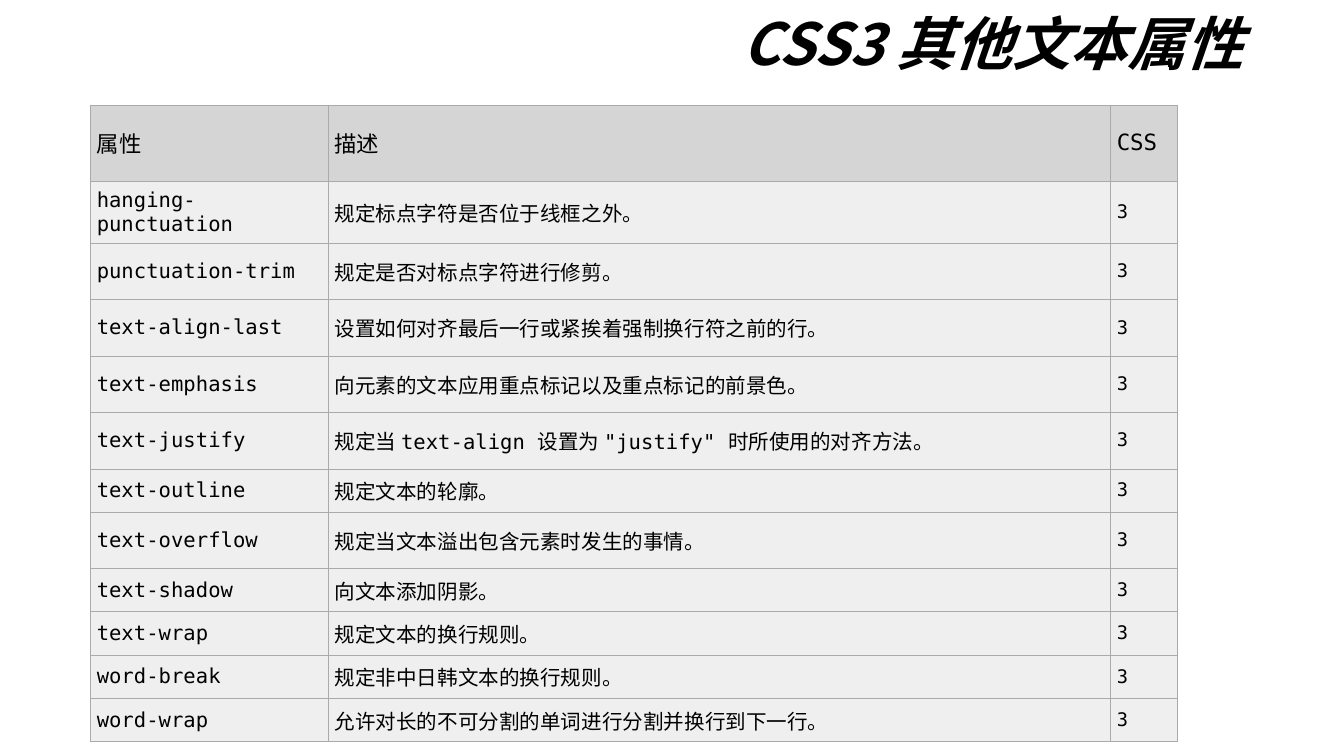
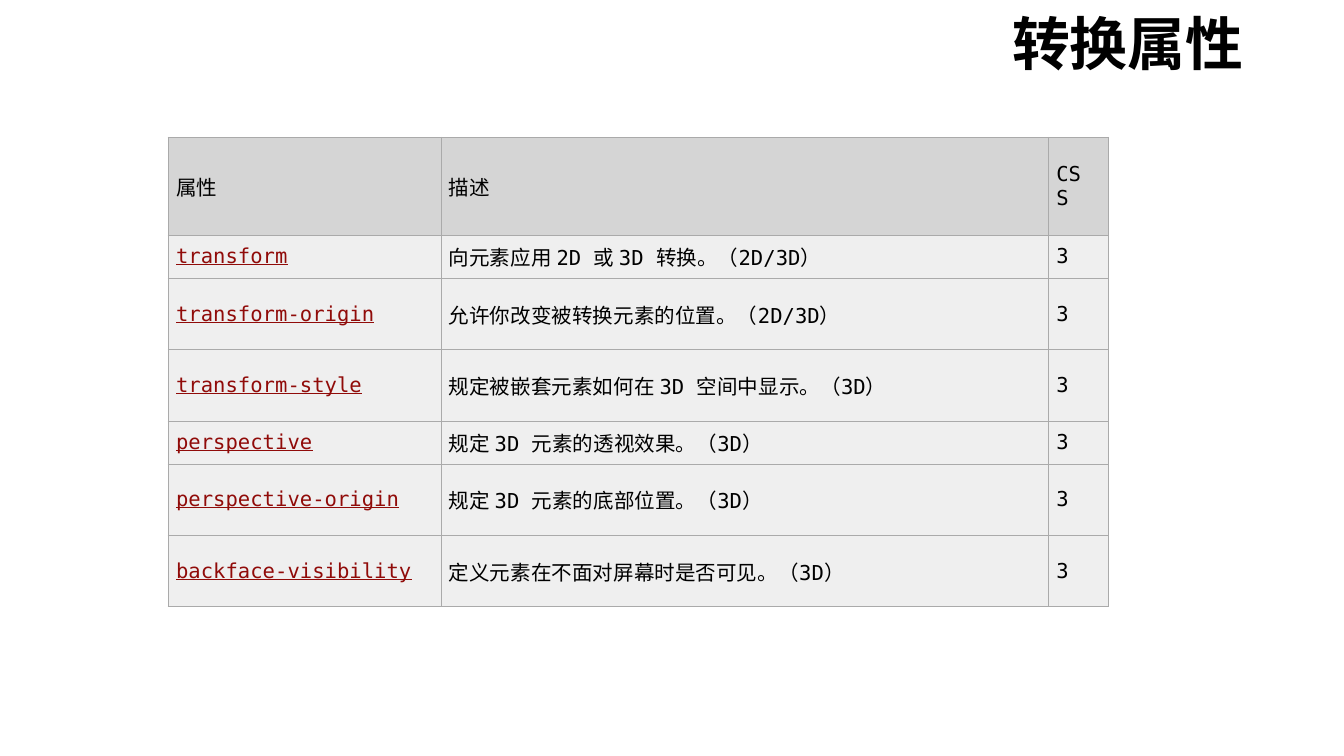
"""Build two slides that list CSS3 text and transform properties in tables."""
import pptx
import pptx.dml.color
import pptx.enum.text
import pptx.oxml
import pptx.oxml.ns
import pptx.util

Inches = pptx.util.Inches
Pt = pptx.util.Pt
COLORS = {"text": "000000", "link": "900B09", "header": "D5D5D5", "body": "EFEFEF", "border": "AAAAAA"}
CJK_FONT = "Noto Sans CJK JP"
CODE_FONT = "DejaVu Sans Mono"
HEADER = ("属性", "描述", "CSS")
BORDER_XML = (
    '<a:{side} %s w="{width}"><a:solidFill><a:srgbClr val="{color}"/></a:solidFill></a:{side}>'
    % pptx.oxml.ns.nsdecls("a")
)

PAGES = [
    {
        "title": "CSS3 其他文本属性",
        "italic": True,
        "position": (0.67, 0.78),
        "columns": (1.77, 5.82, 0.5),
        "heights": (0.57, 0.46, 0.42, 0.42, 0.42, 0.42, 0.27, 0.42, 0.27, 0.27, 0.27, 0.27),
        "margins": (0.05, 0.11),
        "header_size": 12,
        "sizes": (11, 11, 10),
        "links": False,
        "properties": [
            ("hanging-punctuation", "规定标点字符是否位于线框之外。"),
            ("punctuation-trim", "规定是否对标点字符进行修剪。"),
            ("text-align-last", "设置如何对齐最后一行或紧挨着强制换行符之前的行。"),
            ("text-emphasis", "向元素的文本应用重点标记以及重点标记的前景色。"),
            ("text-justify", '规定当 text-align 设置为 "justify" 时所使用的对齐方法。'),
            ("text-outline", "规定文本的轮廓。"),
            ("text-overflow", "规定当文本溢出包含元素时发生的事情。"),
            ("text-shadow", "向文本添加阴影。"),
            ("text-wrap", "规定文本的换行规则。"),
            ("word-break", "规定非中日韩文本的换行规则。"),
            ("word-wrap", "允许对长的不可分割的单词进行分割并换行到下一行。"),
        ],
    },
    {
        "title": "转换属性",
        "italic": False,
        "position": (1.25, 1.02),
        "columns": (2.03, 4.52, 0.45),
        "heights": (0.73, 0.32, 0.53, 0.53, 0.32, 0.53, 0.53),
        "margins": (0.06, 0.14),
        "header_size": 11,
        "sizes": (11, 11, 11),
        "links": True,
        "properties": [
            ("transform", "向元素应用 2D 或 3D 转换。（2D/3D）"),
            ("transform-origin", "允许你改变被转换元素的位置。（2D/3D）"),
            ("transform-style", "规定被嵌套元素如何在 3D 空间中显示。（3D）"),
            ("perspective", "规定 3D 元素的透视效果。（3D）"),
            ("perspective-origin", "规定 3D 元素的底部位置。（3D）"),
            ("backface-visibility", "定义元素在不面对屏幕时是否可见。（3D）"),
        ],
    },
]


def style_paragraph(paragraph, font_name, size, color):
    font = paragraph.font
    font.size = Pt(size)
    font.name = font_name
    font.color.rgb = pptx.dml.color.RGBColor.from_string(COLORS[color])
    east_asian = pptx.oxml.parse_xml(f'<a:ea {pptx.oxml.ns.nsdecls("a")} typeface="{CJK_FONT}"/>')
    paragraph._p.pPr.find(pptx.oxml.ns.qn("a:defRPr")).append(east_asian)


def style_cell(cell, fill, margins):
    cell.vertical_anchor = pptx.enum.text.MSO_ANCHOR.MIDDLE
    cell.margin_left, cell.margin_right = (Inches(margin) for margin in margins)
    cell.margin_top = cell.margin_bottom = Inches(0.05)
    properties = cell._tc.get_or_add_tcPr()
    for side in ("lnL", "lnR", "lnT", "lnB"):
        border = BORDER_XML.format(side=side, width=Pt(0.34), color=COLORS["border"])
        properties.append(pptx.oxml.parse_xml(border))
    cell.fill.solid()
    cell.fill.fore_color.rgb = pptx.dml.color.RGBColor.from_string(COLORS[fill])


deck = pptx.Presentation()
deck.slide_width = Inches(10)
deck.slide_height = deck.slide_width * 9 // 16

for page in PAGES:
    slide = deck.slides.add_slide(deck.slide_layouts[5])
    title = slide.shapes.title
    title.left, title.top, title.width, title.height = (Inches(v) for v in (1.38, 0, 7.94, 0.69))
    frame = title.text_frame
    frame.text = page["title"]
    frame.word_wrap = True
    frame.auto_size = pptx.enum.text.MSO_AUTO_SIZE.NONE
    frame.vertical_anchor = pptx.enum.text.MSO_ANCHOR.MIDDLE
    frame.margin_left = frame.margin_right = Inches(0.07)
    frame.margin_top = frame.margin_bottom = Inches(0.04)
    heading = frame.paragraphs[0]
    heading.alignment = pptx.enum.text.PP_ALIGN.RIGHT
    heading.line_spacing = 0.9
    style_paragraph(heading, CJK_FONT, 31, "text")
    heading.font.bold = True
    heading.font.italic = page["italic"]

    rows = [HEADER] + [(name, description, "3") for name, description in page["properties"]]
    left, top = page["position"]
    table = slide.shapes.add_table(
        len(rows), len(HEADER), Inches(left), Inches(top),
        Inches(sum(page["columns"])), Inches(sum(page["heights"])),
    ).table
    table.first_row = table.horz_banding = False
    for column, width in zip(table.columns, page["columns"]):
        column.width = Inches(width)
    for row, height in zip(table.rows, page["heights"]):
        row.height = Inches(height)

    for row_index, row_texts in enumerate(rows):
        is_header = row_index == 0
        for column_index, text in enumerate(row_texts):
            cell = table.cell(row_index, column_index)
            cell.text = text
            style_cell(cell, "header" if is_header else "body", page["margins"])
            is_link = page["links"] and column_index == 0 and not is_header
            size = page["header_size"] if is_header else page["sizes"][column_index]
            entry = cell.text_frame.paragraphs[0]
            style_paragraph(entry, CODE_FONT, size, "link" if is_link else "text")
            if is_link:
                entry.font.underline = True

deck.save("out.pptx")
